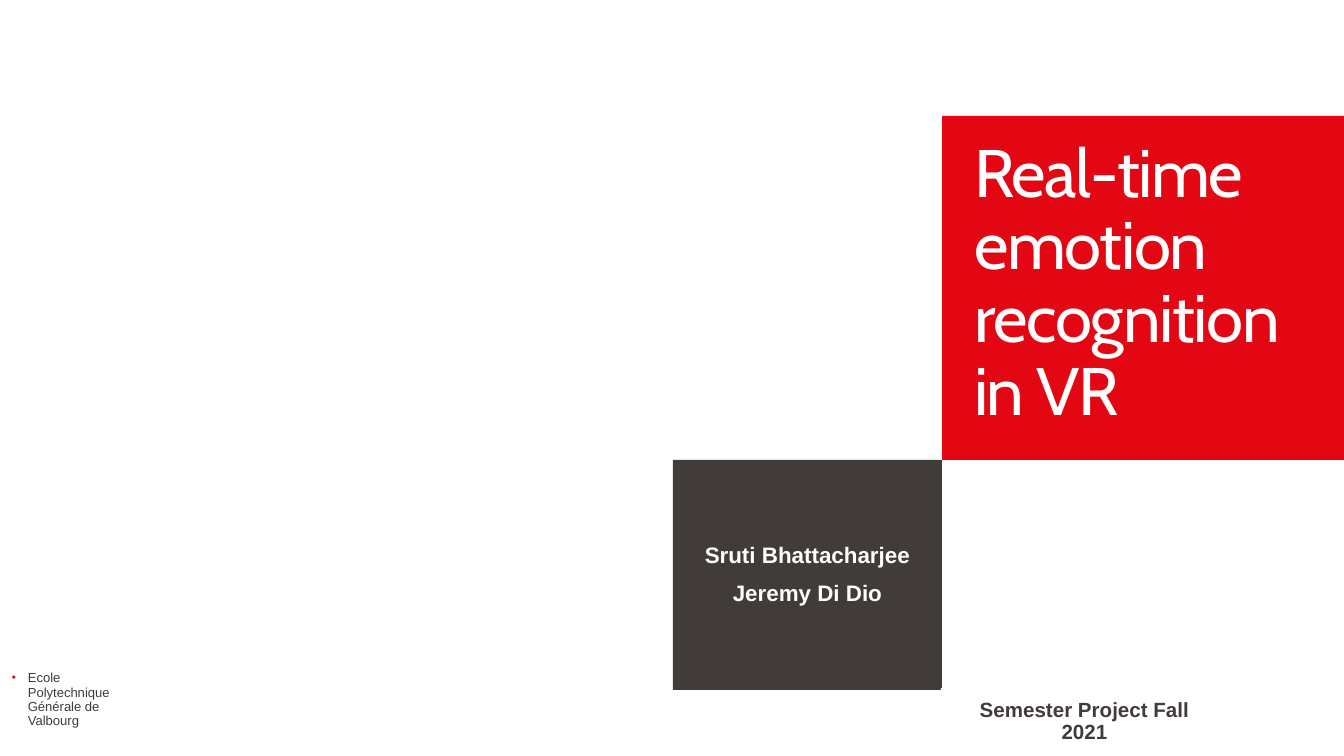
from pptx import Presentation
from pptx.dml.color import RGBColor
from pptx.enum import shapes, text
from pptx.oxml import parse_xml
from pptx.oxml.ns import nsdecls
from pptx import util as u

PX = 914400 / 134.4
COLORS = {"red": "E30613", "dark": "413C3A", "white": "FFFFFF"}
ANCHOR, ALIGN = text.MSO_ANCHOR, text.PP_ALIGN


def px(n):
    """Turn picture pixels into EMU."""
    return u.Emu(round(n * PX))


def rgb(name):
    """Look up a named colour."""
    return RGBColor.from_string(COLORS[name])


def apply(obj, values):
    """Set attributes of an object from a dict."""
    for key, value in values.items():
        setattr(obj, key, value)


class Deck:
    """Holds the shared style and the current slide."""

    font = "Arial"
    insets = (13, 7, 13, 7)
    line_spacing = 0.9

    def __init__(self, width, height):
        """Start a presentation with one blank slide."""
        self.prs = Presentation()
        apply(self.prs, {"slide_width": px(width), "slide_height": px(height)})
        self.slide = self.prs.slides.add_slide(self.prs.slide_layouts[6])

    def block(self, box, fill, lines, **style):
        """Add a filled rectangle with text."""
        sp = self.slide.shapes.add_shape(
            shapes.MSO_SHAPE.RECTANGLE, *map(px, box))
        sp.shadow.inherit = False
        sp.fill.solid()
        sp.fill.fore_color.rgb = rgb(fill)
        sp.line.fill.background()
        self.set_text(sp.text_frame, lines, **style)

    def label(self, box, lines, **style):
        """Add a plain text box."""
        sp = self.slide.shapes.add_textbox(*map(px, box))
        self.set_text(sp.text_frame, lines, **style)

    def set_text(self, tf, lines, size, color, font=None, bold=False,
                 align=ALIGN.CENTER, anchor=ANCHOR.MIDDLE, insets=None,
                 before=7.5, spacing=0, bullet=None):
        """Fill a text frame, one paragraph per line."""
        sides = ("margin_left", "margin_top", "margin_right", "margin_bottom")
        apply(tf, dict(zip(sides, map(px, insets or self.insets))))
        apply(tf, {"word_wrap": True, "vertical_anchor": anchor})
        for i, line in enumerate(lines):
            p = tf.add_paragraph() if i else tf.paragraphs[0]
            apply(p, {"alignment": align, "line_spacing": self.line_spacing,
                      "space_before": u.Pt(before)})
            r = p.add_run()
            r.text = line
            apply(r.font, {"name": font or self.font, "size": u.Pt(size), "bold": bold})
            r.font.color.rgb = rgb(color)
            if spacing:
                r._r.get_or_add_rPr().set("spc", str(round(spacing * 100)))
            if bullet:
                self.bullet(p, bullet)

    def bullet(self, p, color, indent=16):
        """Give a paragraph a coloured bullet with a hanging indent."""
        pPr = p._p.get_or_add_pPr()
        pPr.set("marL", str(px(indent)))
        pPr.set("indent", str(-px(indent)))
        ns = nsdecls("a")
        for xml in (f'<a:buClr {ns}><a:srgbClr val="{COLORS[color]}"/></a:buClr>',
                    f'<a:buSzPct {ns} val="90000"/>',
                    f'<a:buFont {ns} typeface="Arial"/>',
                    f'<a:buChar {ns} char="•"/>'):
            pPr.append(parse_xml(xml))


def main():
    """Build the title slide."""
    deck = Deck(1344, 756)
    deck.block((942, 116, 402, 344), "red", ["Real-time emotion recognition in VR"],
               size=36, color="white", font="Cabin", align=ALIGN.LEFT,
               insets=(32, 0, 11, 7), before=0, spacing=-0.7)
    deck.block((673, 460, 269, 230), "dark", ["Sruti Bhattacharjee", "Jeremy Di Dio"],
               size=12, color="white", bold=True)
    deck.block((941, 688, 287, 68), "white", ["Semester Project Fall 2021"],
               size=11, color="dark", bold=True)
    deck.label((12, 653, 102, 75), ["Ecole Polytechnique Générale de Valbourg"],
               size=7, color="dark", align=ALIGN.LEFT, anchor=ANCHOR.BOTTOM,
               insets=(0, 0, 0, 0), bullet="red")
    deck.prs.save("out.pptx")


main()
